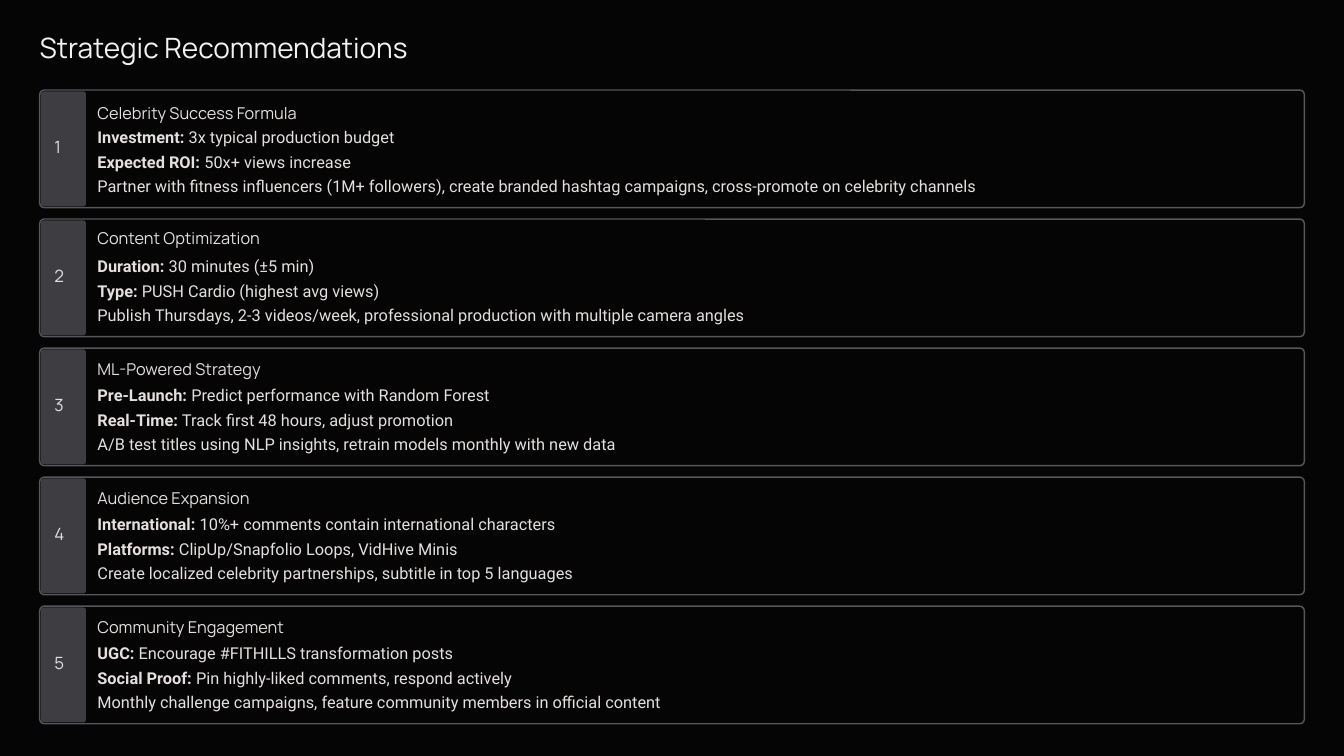
"""Build the Strategic Recommendations slide with five numbered cards."""
from pptx import Presentation
from pptx.dml.color import RGBColor
from pptx.enum.shapes import MSO_SHAPE
from pptx.util import Inches, Pt

BLACK = RGBColor(0x05, 0x05, 0x05)
BORDER = RGBColor(0x56, 0x56, 0x5B)
TAB = RGBColor(0x3D, 0x3D, 0x42)
WHITE = RGBColor(0xF2, 0xF2, 0xF3)
CREAM = RGBColor(0xE5, 0xE0, 0xDF)

RECOMMENDATIONS = [
    ("Celebrity Success Formula", 0.23, [
        ("Investment:", " 3x typical production budget"),
        ("Expected ROI:", " 50x+ views increase"),
        ("", "Partner with fitness influencers (1M+ followers), create branded "
             "hashtag campaigns, cross-promote on celebrity channels")]),
    ("Content Optimization", 0.17, [
        ("Duration:", " 30 minutes (±5 min)"),
        ("Type:", " PUSH Cardio (highest avg views)"),
        ("", "Publish Thursdays, 2-3 videos/week, professional production "
             "with multiple camera angles")]),
    ("ML-Powered Strategy", 0.19, [
        ("Pre-Launch:", " Predict performance with Random Forest"),
        ("Real-Time:", " Track first 48 hours, adjust promotion"),
        ("", "A/B test titles using NLP insights, retrain models monthly "
             "with new data")]),
    ("Audience Expansion", 0.19, [
        ("International:", " 10%+ comments contain international characters"),
        ("Platforms:", " ClipUp/Snapfolio Loops, VidHive Minis"),
        ("", "Create localized celebrity partnerships, subtitle in top 5 "
             "languages")]),
    ("Community Engagement", 0.19, [
        ("UGC:", " Encourage #FITHILLS transformation posts"),
        ("Social Proof:", " Pin highly-liked comments, respond actively"),
        ("", "Monthly challenge campaigns, feature community members in "
             "official content")]),
]

prs = Presentation()
prs.slide_width, prs.slide_height = Inches(20), Inches(11.25)
slide = prs.slides.add_slide(prs.slide_layouts[6])
slide.background.fill.solid()
slide.background.fill.fore_color.rgb = BLACK


def add_panel(left, top, width, height, radius, color):
    panel = slide.shapes.add_shape(MSO_SHAPE.ROUNDED_RECTANGLE, Inches(left),
                                   Inches(top), Inches(width), Inches(height))
    panel.adjustments[0] = radius / min(width, height)
    panel.shadow.inherit = False
    panel.fill.solid()
    panel.fill.fore_color.rgb = color
    panel.line.fill.background()
    return panel


def add_line(left, top, width, height, parts, font, size, spacing, color=CREAM):
    frame = slide.shapes.add_textbox(Inches(left), Inches(top), Inches(width),
                                     Inches(height)).text_frame
    frame.word_wrap = True
    frame.margin_left = frame.margin_right = 0
    frame.margin_top = frame.margin_bottom = 0
    paragraph = frame.paragraphs[0]
    paragraph.line_spacing = Pt(spacing)
    for text, bold in parts:
        if text:
            run = paragraph.add_run()
            run.text = text
            run.font.name = font
            run.font.size = Pt(size)
            run.font.bold = bold
            run.font.color.rgb = color


add_line(0.59, 0.44, 5.98, 0.57, [("Strategic Recommendations", False)],
         "Manrope", 30, 37.5, WHITE)

for index, (heading, heading_offset, details) in enumerate(RECOMMENDATIONS):
    top = 1.34 + 1.92 * index
    card = add_panel(0.59, top, 18.82, 1.75, 0.07, BLACK)
    card.line.color.rgb = BORDER
    card.line.width = Pt(1.5)
    add_panel(0.61, top + 0.02, 0.67, 1.71, 0.04, TAB)
    add_line(0.81, top + 0.74, 0.25, 0.29, [(str(index + 1), False)],
             "Manrope", 18.1, 18.1)
    add_line(1.45, top + heading_offset, 3.8, 0.27, [(heading, False)],
             "Manrope", 17.5, 18.8)
    for row, (label, detail) in enumerate(details):
        add_line(1.45, top + 0.57 + 0.37 * row, 17.77, 0.26,
                 [(label, True), (detail, False)], "Roboto", 17.5, 19.4)

prs.save("out.pptx")
